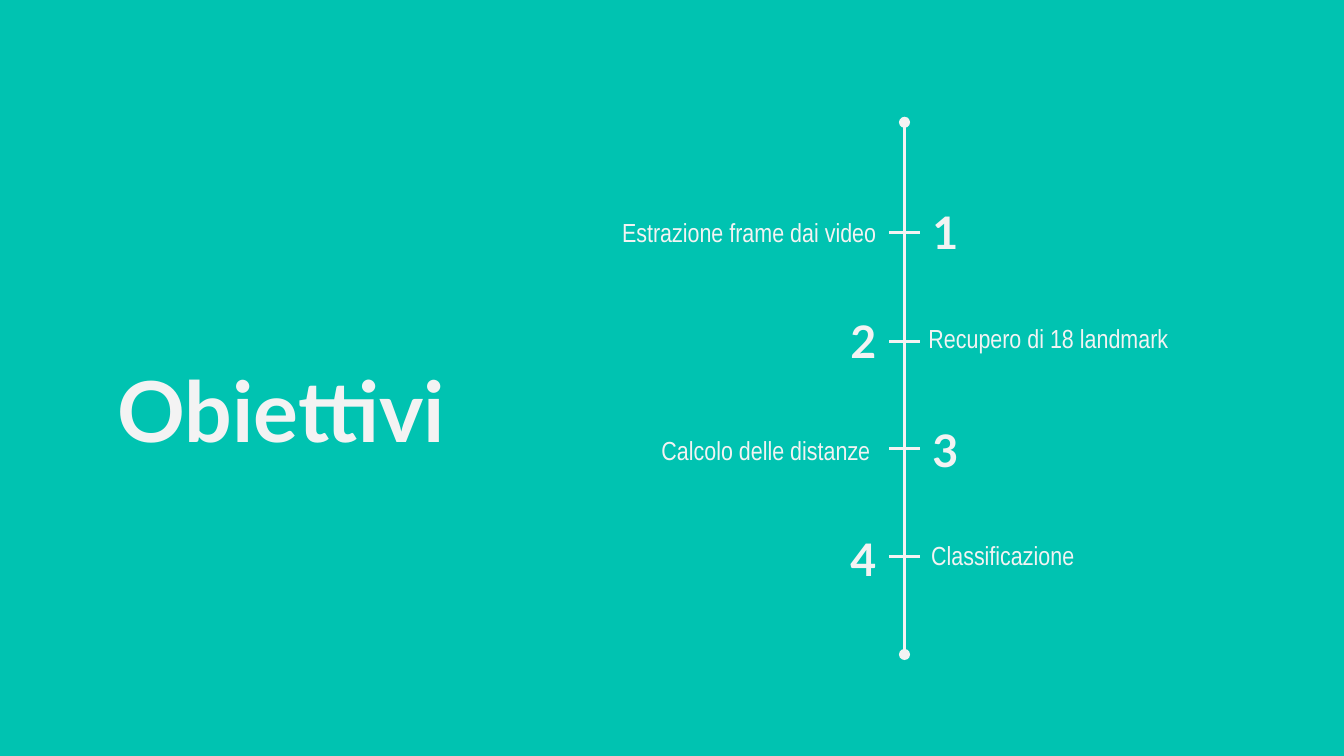
from lxml import etree
from pptx import Presentation
from pptx.dml.color import RGBColor
from pptx.enum.shapes import MSO_CONNECTOR
from pptx.enum.text import MSO_ANCHOR, PP_ALIGN
from pptx.oxml.ns import qn
from pptx.util import Inches, Pt

COLORS = {"background": "00C3B1", "foreground": "F3F3F3"}
ROW_HEIGHT, ROW_PITCH = 0.69, 0.81
TICK_WIDTH = 0.23

# Label, label box (left, top, width, height) and tick height, from the timeline's top left
STEPS = [
    ("Estrazione frame dai video", (0, 0.47, 2.5, 0.69), 0.82),
    ("Recupero di 18 landmark", (2.69, 1.39, 2.66, 0.35), 1.63),
    ("Calcolo delle distanze ", (0.24, 2.09, 2.26, 0.69), 2.43),
    ("Classificazione", (2.71, 3, 2.66, 0.69), 3.23),
]


def add_text(slide, text, box, font_name, size, bold=False,
             align=PP_ALIGN.LEFT, anchor=MSO_ANCHOR.TOP):
    shape = slide.shapes.add_textbox(*map(Inches, box))
    frame = shape.text_frame
    frame.word_wrap = True
    frame.vertical_anchor = anchor
    frame.margin_left = frame.margin_right = Inches(0.1)
    frame.margin_top = frame.margin_bottom = Inches(0.1)
    paragraph = frame.paragraphs[0]
    paragraph.text = text
    paragraph.alignment = align
    paragraph.font.name = font_name
    paragraph.font.size = Pt(size)
    paragraph.font.bold = bold
    paragraph.font.color.rgb = RGBColor.from_string(COLORS["foreground"])


def add_line(slide, start, end, round_ends=False):
    connector = slide.shapes.add_connector(
        MSO_CONNECTOR.STRAIGHT, *map(Inches, (*start, *end)))
    connector.line.color.rgb = RGBColor.from_string(COLORS["foreground"])
    connector.line.width = Pt(1.5)
    if round_ends:
        line = connector.line._get_or_add_ln()
        for tag in ("a:headEnd", "a:tailEnd"):
            etree.SubElement(line, qn(tag), type="oval")
    etree.SubElement(connector._element.spPr, qn("a:effectLst"))


def add_title(slide, box):
    add_text(slide, "Obiettivi ", box, "Lato", 45, bold=True, align=PP_ALIGN.CENTER)


def add_timeline(slide, left, top, height):
    axis = left + 2.61
    add_line(slide, (axis, top), (axis, top + height), round_ends=True)

    # Labels and numbers swap sides on every row
    for index, (label, (x, y, width, label_height), tick) in enumerate(STEPS):
        label_on_left = index % 2 == 0
        add_text(slide, label, (left + x, top + y, width, label_height),
                 "Arial Narrow", 14,
                 align=PP_ALIGN.RIGHT if label_on_left else PP_ALIGN.LEFT,
                 anchor=MSO_ANCHOR.MIDDLE if label_on_left else MSO_ANCHOR.TOP)
        number_left = left + (2.72 if label_on_left else 0.24)
        number_top = top + 0.47 + index * ROW_PITCH
        add_text(slide, str(index + 1), (number_left, number_top, 2.26, ROW_HEIGHT),
                 "Lato", 24, bold=True,
                 align=PP_ALIGN.LEFT if label_on_left else PP_ALIGN.RIGHT,
                 anchor=MSO_ANCHOR.MIDDLE)
        tick_left = axis - TICK_WIDTH / 2
        add_line(slide, (tick_left, top + tick), (tick_left + TICK_WIDTH, top + tick))


def main():
    presentation = Presentation()
    presentation.slide_width = Inches(10)
    presentation.slide_height = presentation.slide_width * 9 // 16
    slide = presentation.slides.add_slide(presentation.slide_layouts[6])
    slide.background.fill.solid()
    slide.background.fill.fore_color.rgb = RGBColor.from_string(COLORS["background"])

    add_title(slide, (0.63, 2.57, 3.08, 0.87))
    add_timeline(slide, 4.12, 0.91, 3.96)
    presentation.save("out.pptx")


if __name__ == "__main__":
    main()
